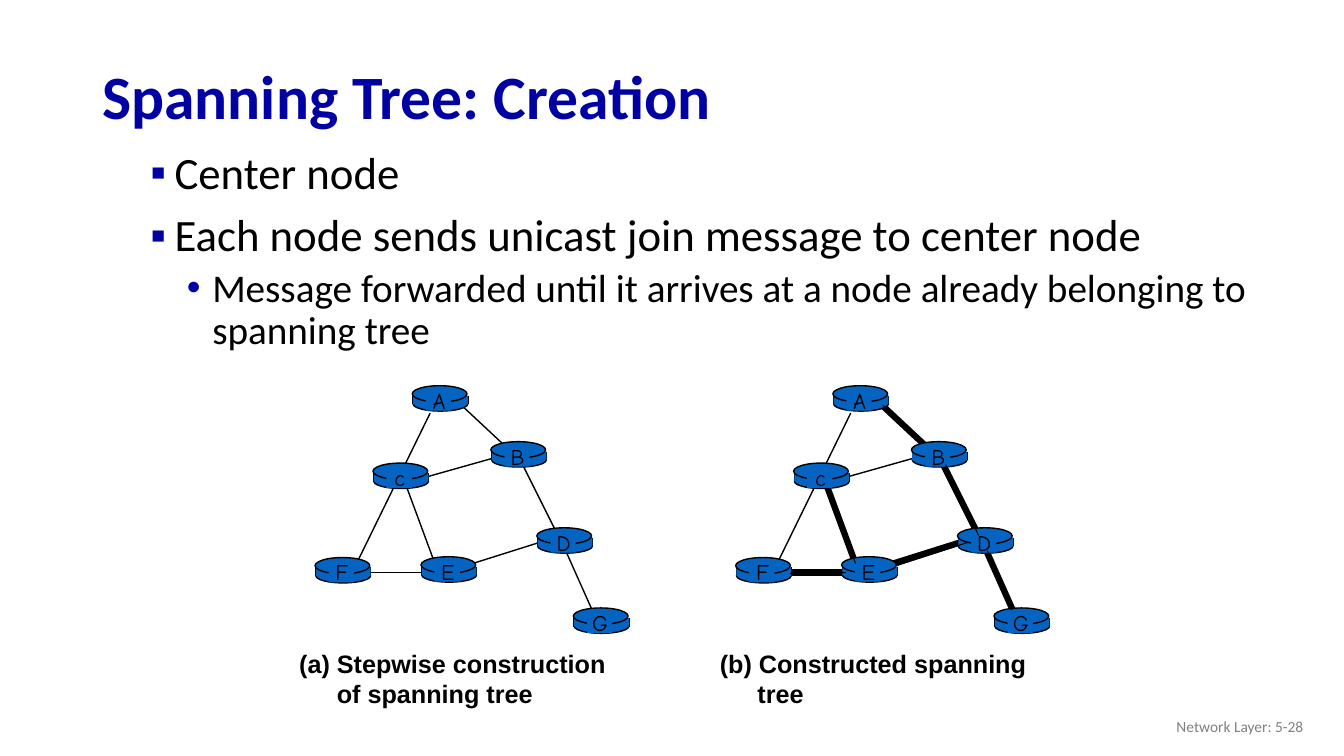
from lxml import etree
from pptx import Presentation
from pptx.dml.color import RGBColor
from pptx.enum import shapes, text
from pptx.oxml import ns
from pptx import util as u


def rgb(value):
    return RGBColor.from_string(value)


def write(sp, lines, font, anchor=text.MSO_ANCHOR.TOP, wrap=True):
    tf = sp.text_frame
    tf.word_wrap = wrap
    tf.vertical_anchor = anchor
    for i, (content, size, form) in enumerate(lines):
        p = tf.paragraphs[0] if i == 0 else tf.add_paragraph()
        for key, value in form.items():
            setattr(p, key, value)
        r = p.add_run()
        r.text = content
        r.font.size = u.Pt(size)
        r.font.color.rgb = rgb(font["color"])
        r.font.name = font["name"]
        r.font.bold = font.get("bold", False)
    return tf


BLACK, NAVY, BLUE, GREY = "000000", "0000A3", "0563C1", "808080"
LEFT, CENTER, RIGHT = text.PP_ALIGN.LEFT, text.PP_ALIGN.CENTER, text.PP_ALIGN.RIGHT
OVAL, RECT = shapes.MSO_SHAPE.OVAL, shapes.MSO_SHAPE.RECTANGLE

prs = Presentation()
prs.slide_width, prs.slide_height = u.Cm(33.87), u.Cm(19.05)
s = prs.slides.add_slide(prs.slide_layouts[5])

title = s.shapes.title
title.left, title.top, title.width, title.height = u.Cm(2.33), u.Cm(1.26), u.Cm(29.21), u.Cm(2.49)
write(title, [("Spanning Tree: Creation", 44, {"alignment": LEFT, "line_spacing": 0.9})],
      {"name": "Calibri", "color": NAVY, "bold": True}, text.MSO_ANCHOR.MIDDLE)

body = s.shapes.add_textbox(u.Cm(3.17), u.Cm(3.67), u.Cm(28.55), u.Cm(5.59))
main = {"line_spacing": 0.9, "space_before": u.Pt(10)}
sub = {"line_spacing": 0.9, "space_before": u.Pt(5), "level": 1}
tf = write(body, [
    ("Center node", 32, main),
    ("Each node sends unicast join message to center node", 32, main),
    ("Message forwarded until it arrives at a node already belonging to spanning tree", 28, sub),
], {"name": "Calibri", "color": BLACK})
bullets = [("▪", NAVY, 0.98, -0.61), ("▪", NAVY, 0.98, -0.61), ("•", "0000A8", 1.93, -0.64)]
for p, (char, color, margin, indent) in zip(tf.paragraphs, bullets):
    pPr = p._p.get_or_add_pPr()
    pPr.set("marL", str(u.Cm(margin)))
    pPr.set("indent", str(u.Cm(indent)))
    buClr = etree.SubElement(pPr, ns.qn("a:buClr"))
    etree.SubElement(buClr, ns.qn("a:srgbClr"), val=color)
    etree.SubElement(pPr, ns.qn("a:buFont"), typeface="Arial")
    etree.SubElement(pPr, ns.qn("a:buChar"), char=char)

edges = {
    "BD": (13.08, 11.53, 14.02, 13.41),
    "DG": (14.07, 13.46, 15.01, 15.57),
    "DE": (13.59, 13.67, 11.91, 14.2),
    "EF": (11.02, 14.43, 8.99, 14.43),
    "EC": (10.95, 14.17, 10.21, 12.17),
    "CB": (10.67, 12.04, 12.55, 11.51),
    "AB": (11.66, 10.24, 12.88, 11.38),
    "AF": (10.84, 10.41, 8.96, 14.25),
}
routers = {
    "A": (10.39, 9.72), "B": (12.37, 11.13), "G": (14.45, 15.32), "D": (13.53, 13.3),
    "E": (10.61, 14.03), "c": (9.4, 11.67), "F": (7.94, 14.05),
}
router_parts = [
    (OVAL, 0.02, 0.28, 1.38, 0.36),
    (None, 0.02, 0.25, 0.02, 0.47),
    (None, 1.4, 0.25, 1.4, 0.47),
    (RECT, 0.02, 0.25, 1.38, 0.22),
    (OVAL, 0, 0, 1.38, 0.41),
    (RECT, 0.34, 0.05, 0.64, 0.58),
]
tree = ["BD", "DG", "DE", "EF", "EC", "AB"]
panels = [(0, [], "Stepwise construction of spanning tree"),
          (10.6, tree, "(b) Constructed spanning tree")]
lines = []

for shift, thick, caption in panels:
    for name, (x1, y1, x2, y2) in edges.items():
        line = s.shapes.add_connector(shapes.MSO_CONNECTOR.STRAIGHT, u.Cm(x1 + shift), u.Cm(y1),
                                      u.Cm(x2 + shift), u.Cm(y2))
        lines.append((line, 4.5 if name in thick else 1))
    for letter, (left, top) in routers.items():
        group = s.shapes.add_group_shape()
        x = left + shift
        for kind, dx, dy, a, b in router_parts:
            if kind is None:
                side = group.shapes.add_connector(shapes.MSO_CONNECTOR.STRAIGHT, u.Cm(x + dx),
                                                  u.Cm(top + dy), u.Cm(x + a), u.Cm(top + b))
                lines.append((side, 1))
                continue
            sp = group.shapes.add_shape(kind, u.Cm(x + dx), u.Cm(top + dy), u.Cm(a), u.Cm(b))
            sp.shadow.inherit = False
            sp.fill.solid()
            sp.fill.fore_color.rgb = rgb(BLUE)
            if kind == OVAL:
                sp.line.color.rgb = rgb(BLACK)
                sp.line.width = u.Pt(1)
            else:
                sp.line.fill.background()
        label = group.shapes.add_textbox(u.Cm(x + 0.22), u.Cm(top - 0.1), u.Cm(0.91), u.Cm(0.94))
        write(label, [(letter, 16, {"alignment": CENTER})],
              {"name": "Comic Neue", "color": BLACK}, wrap=False)
    note = s.shapes.add_textbox(u.Cm(7.29 + shift), u.Cm(16.21), u.Cm(8.41), u.Cm(1.78))
    tf = write(note, [(caption, 18, {})], {"name": "Arial", "color": BLACK, "bold": True})
    pPr = tf.paragraphs[0]._p.get_or_add_pPr()
    pPr.set("marL", str(u.Cm(0.95)))
    pPr.set("indent", str(u.Cm(-0.95)))
    if not thick:
        etree.SubElement(pPr, ns.qn("a:buFont"), typeface="Arial")
        etree.SubElement(pPr, ns.qn("a:buAutoNum"), type="alphaLcParenBoth")

joins = [
    (22.25, 10.21, 23.27, 11.18), (20.88, 12.32, 21.56, 14.2), (23.83, 11.71, 24.66, 13.49),
    (24.89, 13.89, 25.5, 15.37), (19.91, 14.45, 21.31, 14.43), (22.61, 14.25, 24.38, 13.67),
]
for ends in joins:
    join = s.shapes.add_connector(shapes.MSO_CONNECTOR.STRAIGHT, *[u.Cm(v) for v in ends])
    lines.append((join, 0.75))

for line, width in lines:
    line.line.color.rgb = rgb(BLACK)
    line.line.width = u.Pt(width)
    etree.SubElement(line._element.spPr, ns.qn("a:effectLst"))

footer = s.shapes.add_textbox(u.Cm(25.48), u.Cm(17.95), u.Cm(7.62), u.Cm(1.02))
write(footer, [("Network Layer: 5-28", 11, {"alignment": RIGHT})],
      {"name": "Calibri", "color": GREY})

prs.save("out.pptx")
